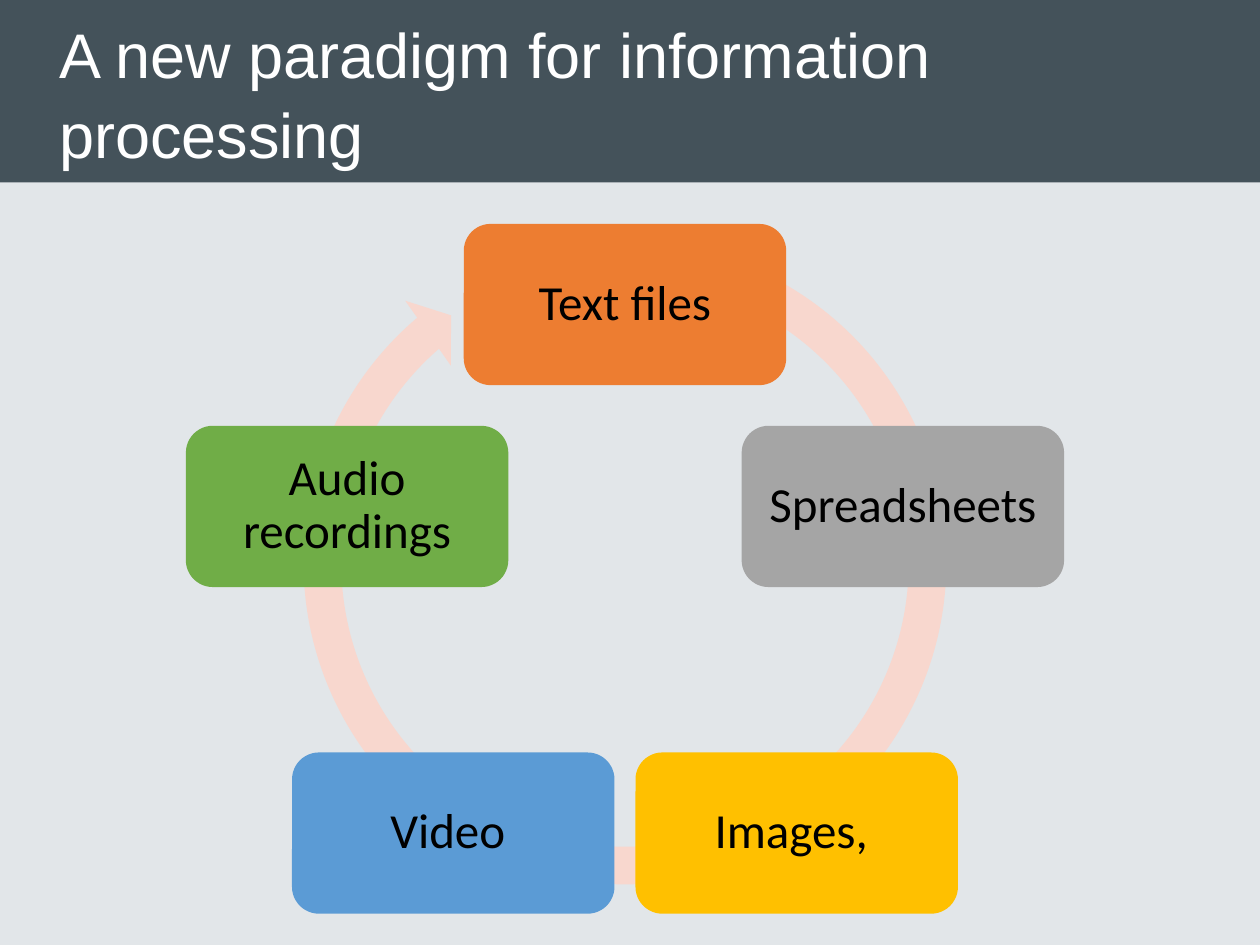
from math import cos, radians, sin

from pptx import Presentation
from pptx.dml.color import RGBColor
from pptx.enum.shapes import MSO_SHAPE
from pptx.enum.text import MSO_ANCHOR, PP_ALIGN
from pptx.util import Cm, Pt

COLORS = {
    "back": "E2E6E9", "band": "44525A", "ring": "F8D7CE",
    "title": "FFFFFF", "text": "000000",
    "orange": "ED7D31", "gray": "A5A5A5", "gold": "FFC000",
    "blue": "5B9BD5", "green": "70AD47",
}
# Clockwise from the top; trailing spaces belong to the wording
STEPS = [
    ("Text files", "orange"),
    ("Spreadsheets", "gray"),
    ("Images, ", "gold"),
    ("Video ", "blue"),
    ("Audio recordings", "green"),
]
WIDTH, HEIGHT, BAND = 25.4, 19.05, 3.68
MID_X, MID_Y, RADIUS = 12.6, 12.03, 5.89
BOX_W, BOX_H = 6.5, 3.25


def color(name):
    return RGBColor.from_string(COLORS[name])


def add_solid(slide, kind, left, top, width, height, fill):
    """Add a preset shape with a plain fill, no line and no shadow."""
    shape = slide.shapes.add_shape(
        kind, Cm(left), Cm(top), Cm(width), Cm(height))
    shape.shadow.inherit = False
    shape.fill.solid()
    shape.fill.fore_color.rgb = color(fill)
    shape.line.fill.background()
    return shape


def write(shape, text, font, size, ink, align, space):
    frame = shape.text_frame
    frame.word_wrap = True
    frame.vertical_anchor = MSO_ANCHOR.MIDDLE
    para = frame.paragraphs[0]
    para.text = text
    para.alignment = align
    para.line_spacing = space
    para.font.name = font
    para.font.size = Pt(size)
    para.font.color.rgb = color(ink)
    return frame


def add_title(slide, text):
    band = add_solid(slide, MSO_SHAPE.RECTANGLE, 0, 0, WIDTH, BAND, "band")
    title = slide.shapes.title
    title.element.addprevious(band.element)  # band goes behind the title
    title.left, title.top = Cm(0.94), Cm(0)
    title.width, title.height = Cm(23.3), Cm(BAND)
    write(title, text, "Arial", 36, "title", PP_ALIGN.LEFT, 1.05)


def add_ring(slide):
    size = 13.8
    ring = add_solid(slide, MSO_SHAPE.CIRCULAR_ARROW, MID_X - size / 2,
                     4.45, size, size, "ring")
    for i, value in enumerate([0.055, 3.307, 137.642, 173.931, 0.058]):
        ring.adjustments[i] = value


def add_step(slide, text, fill, angle):
    """Add a box centred on the cycle, angle in degrees from the top."""
    x = MID_X + RADIUS * sin(radians(angle))
    y = MID_Y - RADIUS * cos(radians(angle))
    box = add_solid(slide, MSO_SHAPE.ROUNDED_RECTANGLE,
                    x - BOX_W / 2, y - BOX_H / 2, BOX_W, BOX_H, fill)
    frame = write(box, text, "Calibri", 28, "text", PP_ALIGN.CENTER, 0.9)
    frame.margin_left = frame.margin_right = Cm(0.3)
    frame.margin_top = frame.margin_bottom = Cm(0.3)


def main():
    deck = Presentation()
    deck.slide_width, deck.slide_height = Cm(WIDTH), Cm(HEIGHT)
    slide = deck.slides.add_slide(deck.slide_layouts[5])
    back = slide.background.fill
    back.solid()
    back.fore_color.rgb = color("back")
    add_title(slide, "A new paradigm for information processing")
    add_ring(slide)
    for i, (text, fill) in enumerate(STEPS):
        add_step(slide, text, fill, i * 360 / len(STEPS))
    deck.save("out.pptx")


if __name__ == "__main__":
    main()
